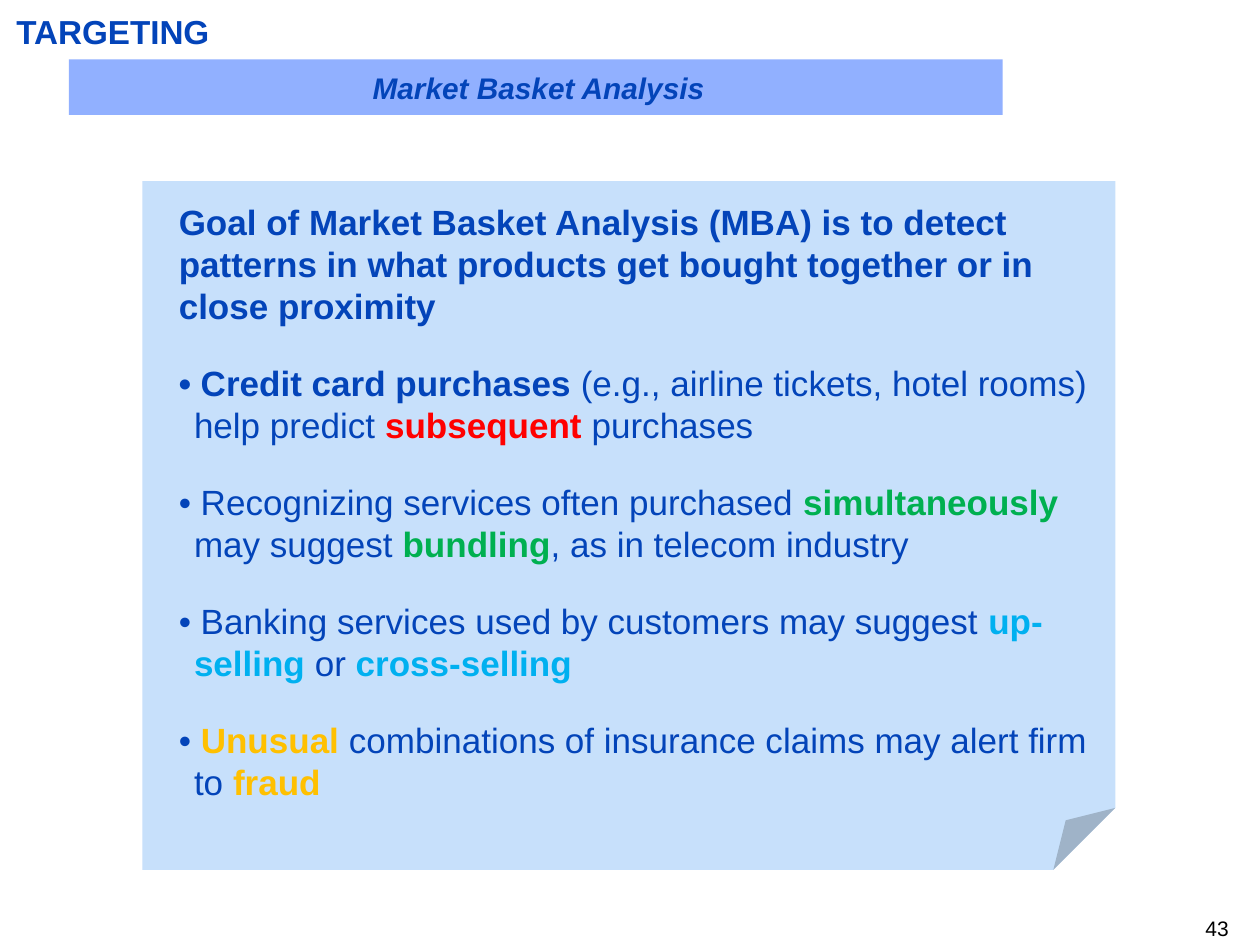
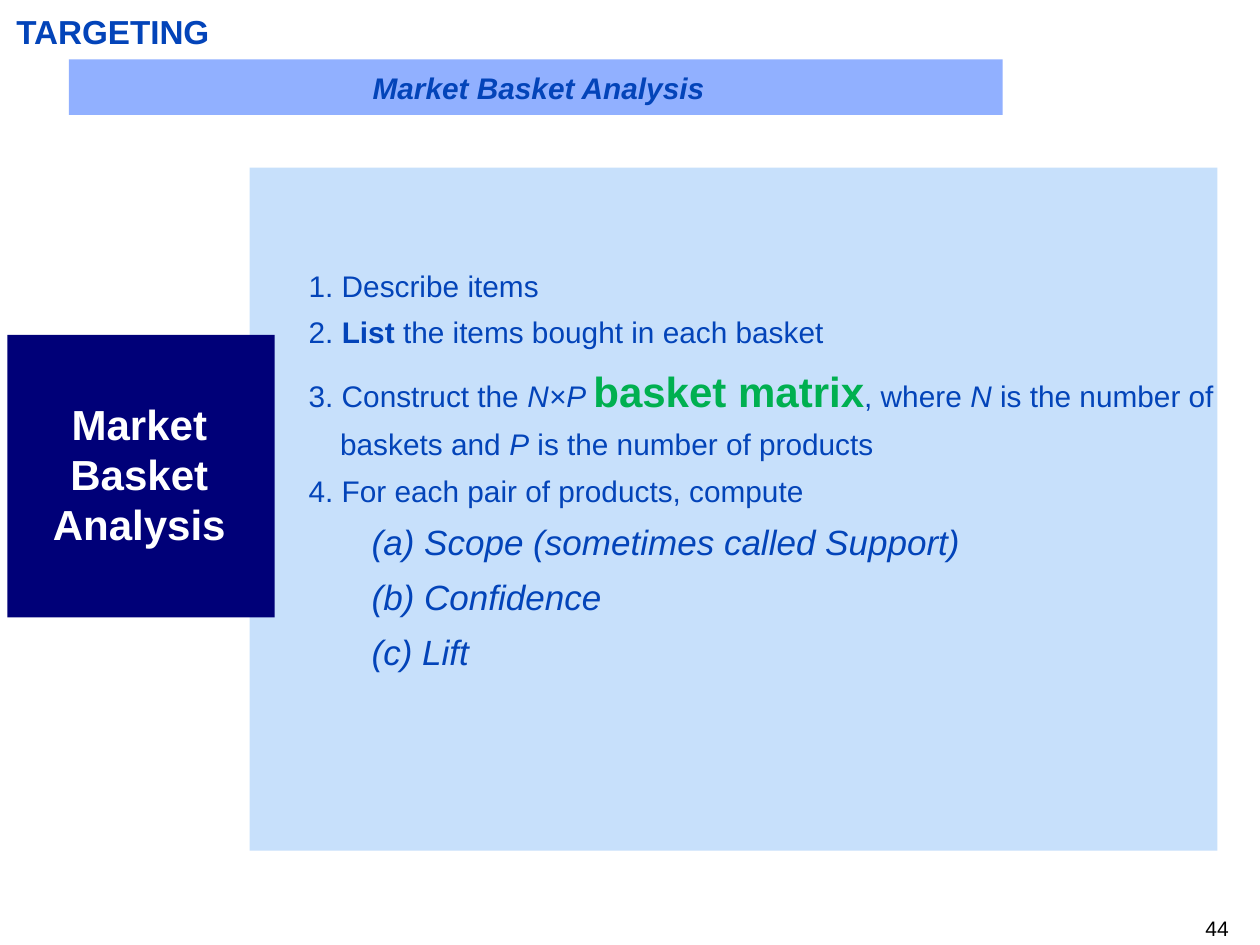
"""Build two slides that introduce market basket analysis."""
from dataclasses import dataclass

from lxml import etree
from pptx import Presentation
from pptx.dml.color import RGBColor
from pptx.enum import shapes, text
from pptx.oxml import ns
from pptx.util import Pt


@dataclass(frozen=True)
class Theme:
    font: str = "Arial"
    ink: str = "0344B9"
    panel: str = "C7E0FB"
    band: str = "91B0FF"
    navy: str = "000078"
    white: str = "FFFFFF"
    black: str = "000000"
    red: str = "FF0000"
    green: str = "00B050"
    sky: str = "00B0F0"
    gold: str = "FFC000"
    title_size: int = 19
    subtitle_size: int = 17
    goal_size: int = 20
    step_size: int = 17
    measure_size: int = 20
    label_size: int = 24
    number_size: int = 12
    line_height: float = 1.2


THEME = Theme()
BOLD = {"bold": True}
ITALIC = {"italic": True}


def strong(color):
    return {"bold": True, "color": color}


TITLE = "TARGETING"
SUBTITLE = "Market Basket Analysis"
FIRST_NUMBER = 43

GOAL = [("Goal of Market Basket Analysis (MBA) is to detect patterns in what "
         "products get bought together or in close proximity", BOLD)]
USES = [
    [("• Credit card purchases", BOLD),
     (" (e.g., airline tickets, hotel rooms) help predict ", {}),
     ("subsequent ", strong(THEME.red)), ("purchases", {})],
    [("• Recognizing services often purchased ", {}),
     ("simultaneously ", strong(THEME.green)), ("may suggest ", {}),
     ("bundling", strong(THEME.green)), (", as in telecom industry", {})],
    [("• Banking services used by customers may suggest ", {}),
     ("up-selling", strong(THEME.sky)), (" or ", {}),
     ("cross-selling", strong(THEME.sky))],
    [("• ", {}), ("Unusual ", strong(THEME.gold)),
     ("combinations of insurance claims may alert firm to ", {}),
     ("fraud", strong(THEME.gold))],
]
MATRIX_STEP = [
    ("3. Construct the ", {}), ("N×P ", ITALIC),
    ("basket matrix", {**strong(THEME.green), "size": Pt(THEME.label_size)}),
    (", where ", {}), ("N", ITALIC), (" is the number of baskets and ", {}),
    ("P", ITALIC), (" is the number of products", {}),
]
STEPS = [
    [("1. Describe items", {})],
    [("2. ", {}), ("List", BOLD), (" the items bought in each basket", {})],
    MATRIX_STEP,
    [("4. For each pair of products, compute", {})],
]
MEASURES = ["(a) Scope (sometimes called Support)", "(b) Confidence", "(c) Lift"]


def add_panel(slide, place, color, kind=shapes.MSO_SHAPE.RECTANGLE):
    shape = slide.shapes.add_shape(kind, *map(Pt, place))
    shape.shadow.inherit = False
    shape.fill.solid()
    shape.fill.fore_color.rgb = RGBColor.from_string(color)
    shape.line.fill.background()
    return shape


def set_fold(shape, share):
    guides = next(shape._element.iter(ns.qn("a:avLst")))
    for guide in list(guides):
        guides.remove(guide)
    etree.SubElement(guides, ns.qn("a:gd"), name="adj",
                     fmla=f"val {round(share * 100000)}")


def add_text(slide, place, paragraphs, margins=(0, 0)):
    frame = slide.shapes.add_textbox(*map(Pt, place)).text_frame
    horizontal, vertical = map(Pt, margins)
    formats = {"word_wrap": True, "vertical_anchor": text.MSO_ANCHOR.TOP,
               "margin_left": horizontal, "margin_right": horizontal,
               "margin_top": vertical, "margin_bottom": vertical}
    for name, value in formats.items():
        setattr(frame, name, value)
    for index, (runs, style) in enumerate(paragraphs):
        paragraph = frame.add_paragraph() if index else frame.paragraphs[0]
        fill_paragraph(paragraph, runs, **style)


def fill_paragraph(paragraph, runs, size, align="LEFT", before=0, after=0,
                   margin=0, indent=0, spacing=1):
    formats = {"alignment": getattr(text.PP_ALIGN, align),
               "space_before": Pt(before), "space_after": Pt(after),
               "line_spacing": Pt(round(size * THEME.line_height * spacing, 1))}
    for name, value in formats.items():
        setattr(paragraph, name, value)
    properties = paragraph._p.get_or_add_pPr()
    properties.set("marL", str(int(Pt(margin))))
    properties.set("indent", str(int(Pt(indent))))
    for words, changes in runs:
        run = paragraph.add_run()
        run.text = words
        look = {"name": THEME.font, "size": Pt(size), "bold": False,
                "italic": False, "color": THEME.ink, **changes}
        run.font.color.rgb = RGBColor.from_string(look.pop("color"))
        for name, value in look.items():
            setattr(run.font, name, value)


def add_frame(slide, number):
    add_text(slide, (552.2, 523.4, 150, 14.4),
             [([(str(number), {"color": THEME.black})],
               {"size": THEME.number_size, "align": "RIGHT"})])
    add_panel(slide, (39.4, 34, 533.6, 31.7), THEME.band)
    add_text(slide, (9.4, 6.5, 692.6, 23),
             [([(TITLE, BOLD)], {"size": THEME.title_size})])
    add_text(slide, (51.8, 39.6, 512, 51.8),
             [([(SUBTITLE, {**BOLD, **ITALIC})],
               {"size": THEME.subtitle_size, "align": "CENTER"})])


def build_goal(slide):
    note = add_panel(slide, (81.4, 103.5, 555.9, 393.6), THEME.panel,
                     shapes.MSO_SHAPE.FOLDED_CORNER)
    set_fold(note, 0.09)
    goal_style = {"size": THEME.goal_size, "after": 10}
    use_style = {**goal_style, "before": 10, "margin": 8.7, "indent": -8.7}
    add_text(slide, (102.2, 114.4, 520, 363.6),
             [(GOAL, goal_style)] + [(use, use_style) for use in USES])


def build_steps(slide):
    add_panel(slide, (142.6, 95.8, 553, 390.3), THEME.panel)
    add_panel(slide, (4.2, 191.4, 152.8, 161.4), THEME.navy)
    step_style = {"size": THEME.step_size, "margin": 18, "indent": -18, "spacing": 1.3}
    measure_style = {"size": THEME.measure_size, "margin": 36, "spacing": 1.3}
    paragraphs = [(step, {**step_style, "before": 11 if step is MATRIX_STEP else 0})
                  for step in STEPS]
    paragraphs += [([(measure, ITALIC)], measure_style) for measure in MEASURES]
    add_text(slide, (176.4, 146.9, 525.6, 239.8), paragraphs)
    add_text(slide, (13.7, 223.9, 131.8, 93.6),
             [([(SUBTITLE, strong(THEME.white))],
               {"size": THEME.label_size, "align": "CENTER"})], margins=(7.2, 3.6))


def main():
    presentation = Presentation()
    presentation.slide_width, presentation.slide_height = Pt(720), Pt(540)
    for number, build in enumerate((build_goal, build_steps), FIRST_NUMBER):
        slide = presentation.slides.add_slide(presentation.slide_layouts[6])
        build(slide)
        add_frame(slide, number)
    presentation.save("out.pptx")


if __name__ == "__main__":
    main()
